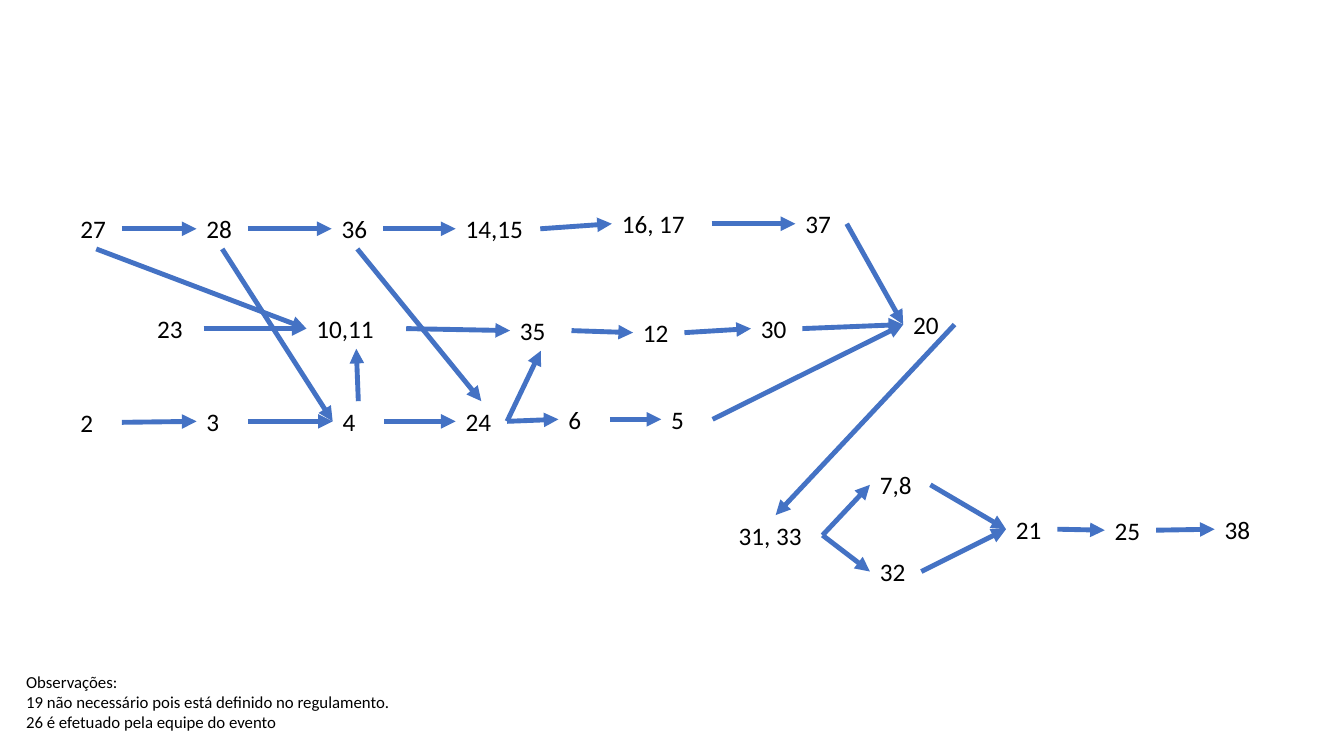
import dataclasses

import lxml.etree
import pptx
import pptx.dml.color
import pptx.enum.shapes
import pptx.enum.text
import pptx.oxml.ns
import pptx.util

COLORS = {"text": "000000", "arrow": "4472C4"}
FONT = "Calibri"

# Grid of square cells: one column or row is a tenth of an inch
CELL = pptx.util.Inches(0.1)
SLIDE_COLUMNS, SLIDE_ROWS = 133.33, 75
NODE_ROWS = 4

# Connection sites of a rectangle
TOP, LEFT, BOTTOM, RIGHT = range(4)


@dataclasses.dataclass(frozen=True)
class Node:
    text: str
    column: float
    row: float
    columns: float = 5.1


@dataclasses.dataclass(frozen=True)
class Arrow:
    start: str
    end: str
    start_side: int = RIGHT
    end_side: int = LEFT


NODES = [
    # Upper lane
    Node("27", 7, 20.7),
    Node("28", 19.5, 20.7),
    Node("36", 32.9, 20.7),
    Node("14,15", 45.2, 20.7, 8.4),
    Node("16, 17", 60.7, 20.2, 9.9),
    Node("37", 78.9, 20.2),
    # Middle lane
    Node("23", 14.6, 30.6, 5.6),
    Node("10,11", 30.4, 30.6, 9.9),
    Node("35", 50.6, 30.8, 6.1),
    Node("12", 62.8, 31),
    Node("30", 74.5, 30.6),
    Node("20", 89.6, 30.2),
    # Lower lane
    Node("2", 7, 39.9),
    Node("3", 19.5, 39.8),
    Node("4", 33, 39.8),
    Node("24", 45.2, 39.8),
    Node("6", 55.4, 39.6),
    Node("5", 65.6, 39.6),
    # Closing branch
    Node("31, 33", 72.3, 51.1, 9.3),
    Node("7,8", 86.3, 46.1, 6),
    Node("32", 86.3, 54.7),
    Node("21", 99.8, 50.5),
    Node("25", 109.6, 50.6),
    Node("38", 120.5, 50.5),
]

# Chains run from the right side of one node to the left side of the next
CHAINS = [
    ["27", "28", "36", "14,15", "16, 17", "37", "20"],
    ["23", "10,11", "35", "12", "30", "20"],
    ["2", "3", "4", "24", "6", "5", "20"],
    ["31, 33", "7,8", "21", "25", "38"],
    ["31, 33", "32", "21"],
]
CROSS_ARROWS = [
    Arrow("27", "10,11", start_side=BOTTOM),
    Arrow("28", "4", start_side=BOTTOM),
    Arrow("36", "24", start_side=BOTTOM, end_side=TOP),
    Arrow("4", "10,11", start_side=TOP, end_side=BOTTOM),
    Arrow("24", "35", end_side=BOTTOM),
    Arrow("20", "31, 33", end_side=TOP),
]

NOTES = [
    "Observações:",
    "19 não necessário pois está definido no regulamento.",
    "26 é efetuado pela equipe do evento",
]


def grid(cells: float) -> int:
    return round(cells * CELL)


def add_text(slide, text: str, *, column: float, row: float, columns: float,
             rows: float, size: float = 18, color: str = "text"):
    shape = slide.shapes.add_textbox(grid(column), grid(row), grid(columns), grid(rows))
    frame = shape.text_frame
    frame.word_wrap = True
    frame.auto_size = pptx.enum.text.MSO_AUTO_SIZE.SHAPE_TO_FIT_TEXT
    frame.text = text
    for paragraph in frame.paragraphs:
        for run in paragraph.runs:
            run.font.name = FONT
            run.font.size = pptx.util.Pt(size)
            run.font.color.rgb = pptx.dml.color.RGBColor.from_string(COLORS[color])
    return shape


def add_arrow(slide, arrow: Arrow, shapes: dict) -> None:
    connector = slide.shapes.add_connector(
        pptx.enum.shapes.MSO_CONNECTOR.STRAIGHT, 0, 0, 0, 0)
    connector.begin_connect(shapes[arrow.start], arrow.start_side)
    connector.end_connect(shapes[arrow.end], arrow.end_side)
    connector.line.color.rgb = pptx.dml.color.RGBColor.from_string(COLORS["arrow"])
    connector.line.width = pptx.util.Pt(3.5)
    # Arrowhead at the end, and no shadow
    qualify = pptx.oxml.ns.qn
    line = connector.line._get_or_add_ln()
    lxml.etree.SubElement(line, qualify("a:tailEnd"), type="triangle")
    lxml.etree.SubElement(connector._element.spPr, qualify("a:effectLst"))


def main() -> None:
    presentation = pptx.Presentation()
    presentation.slide_width = grid(SLIDE_COLUMNS)
    presentation.slide_height = grid(SLIDE_ROWS)
    slide = presentation.slides.add_slide(presentation.slide_layouts[6])

    # Numbered steps
    shapes = {
        node.text: add_text(slide, node.text, column=node.column, row=node.row,
                            columns=node.columns, rows=NODE_ROWS)
        for node in NODES
    }

    # Arrows along the chains and across the lanes
    chain_arrows = [Arrow(start, end)
                    for chain in CHAINS for start, end in zip(chain, chain[1:])]
    for arrow in chain_arrows + CROSS_ARROWS:
        add_arrow(slide, arrow, shapes)

    # Remarks at the foot
    add_text(slide, "\n".join(NOTES), column=1.6, row=66.1, columns=127.5,
             rows=7.1, size=12)

    presentation.save("out.pptx")


if __name__ == "__main__":
    main()
